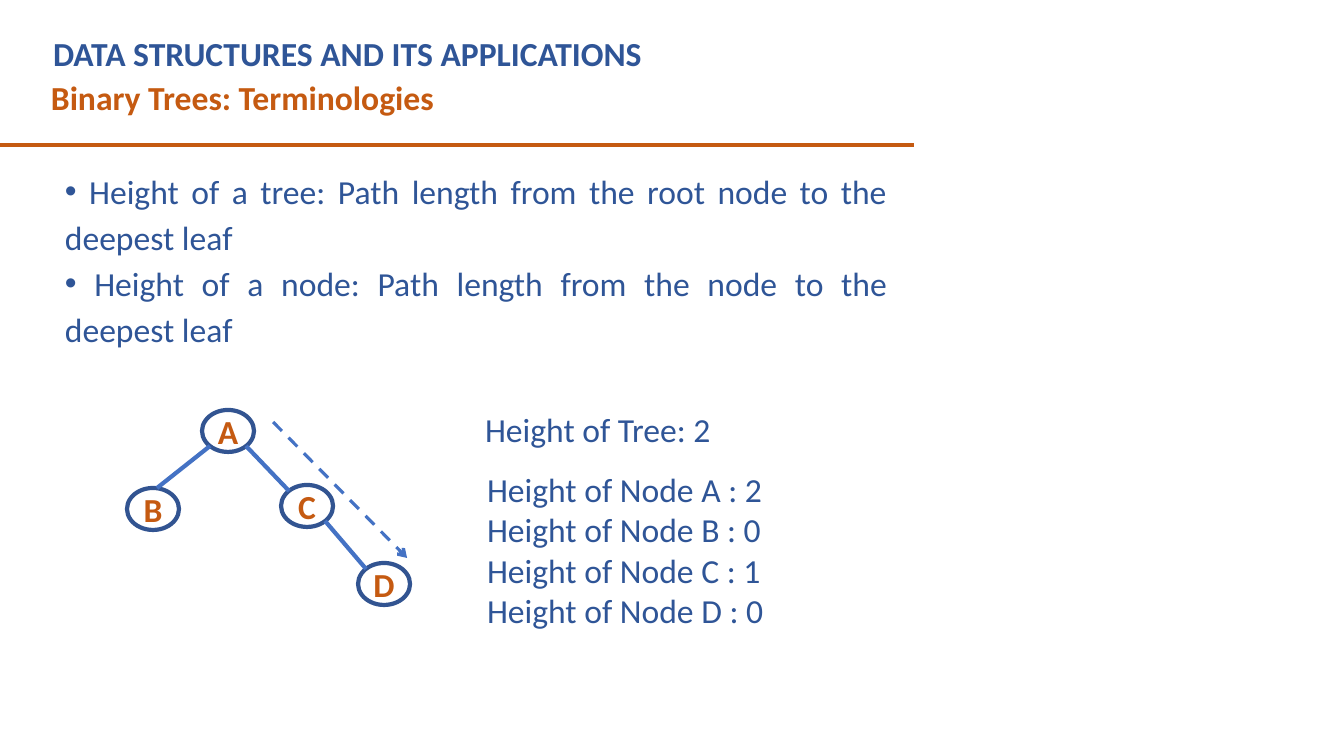
from lxml.etree import SubElement
from pptx import Presentation
from pptx.dml.color import RGBColor
from pptx.enum.dml import MSO_LINE
from pptx.enum.shapes import MSO_CONNECTOR, MSO_SHAPE
from pptx.enum.text import MSO_ANCHOR, MSO_AUTO_SIZE, PP_ALIGN
from pptx.oxml.ns import qn
from pptx.util import Inches, Pt

NAVY, ORANGE, BLUE, OUTLINE = "2F5597", "C55A11", "4472C4", "325491"
WHITE = "FFFFFF"

TITLE = "DATA STRUCTURES AND ITS APPLICATIONS"
SUBTITLE = "Binary Trees: Terminologies"
DEFINITIONS = [
    " Height of a tree: Path length from the root node to the deepest leaf",
    " Height of a node: Path length from the node to the deepest leaf",
]
TREE_HEIGHT = ["Height of Tree: 2"]
NODE_HEIGHTS = [f"Height of Node {name} : {height}"
                for name, height in zip("ABCD", (2, 0, 1, 0))]

# Node centres, and edges as parent, child, offset from each centre (px)
NODE_W, NODE_H = 52, 42
NODES = {"A": (228, 431), "B": (153, 509), "C": (307, 506), "D": (384, 584)}
EDGES = [
    ("A", "C", (18, 15), (-18, -15)),
    ("A", "B", (-18, 15), (4, -21)),
    ("C", "D", (18, 15), (-18, -15)),
]


def px(n):
    return round(n * 914400 / 100.8)


def rgb(color):
    return RGBColor.from_string(color)


def write(tf, lines, color, bold=False, align=PP_ALIGN.LEFT):
    tf.text = "\n".join(lines)
    for p in tf.paragraphs:
        p.alignment = align
        for r in p.runs:
            r.font.name, r.font.size, r.font.bold = "Calibri", Pt(24), bold
            r.font.color.rgb = rgb(color)


def add_text(x, y, w, h, lines, color, **style):
    tf = slide.shapes.add_textbox(px(x), px(y), px(w), px(h)).text_frame
    tf.word_wrap = True
    write(tf, lines, color, **style)
    return tf


def add_line(start, end, color, width):
    s = slide.shapes.add_connector(
        MSO_CONNECTOR.STRAIGHT, *(px(n) for n in (*start, *end)))
    s.line.color.rgb, s.line.width = rgb(color), Pt(width)
    SubElement(s._element.spPr, qn("a:effectLst"))
    return s


def add_node(name, cx, cy):
    s = slide.shapes.add_shape(MSO_SHAPE.OVAL, px(cx - NODE_W / 2),
                               px(cy - NODE_H / 2), px(NODE_W), px(NODE_H))
    s.shadow.inherit = False
    s.fill.solid()
    s.fill.fore_color.rgb = rgb(WHITE)
    s.line.color.rgb, s.line.width = rgb(OUTLINE), Pt(3)
    tf = s.text_frame
    tf.word_wrap = False
    tf.vertical_anchor = MSO_ANCHOR.MIDDLE
    write(tf, [name], ORANGE, bold=True, align=PP_ALIGN.CENTER)


def shift(point, offset):
    return point[0] + offset[0], point[1] + offset[1]


prs = Presentation()
prs.slide_width, prs.slide_height = Inches(13.33), Inches(7.5)
slide = prs.slides.add_slide(prs.slide_layouts[5])

title = slide.shapes.title
title.left, title.top, title.width, title.height = map(px, (43, 28, 827, 50))
tf = title.text_frame
tf.auto_size = MSO_AUTO_SIZE.NONE
tf.vertical_anchor = MSO_ANCHOR.TOP
write(tf, [TITLE], NAVY, bold=True)

add_text(41, 72, 882, 50, [SUBTITLE], ORANGE, bold=True)
add_line((0, 145), (914, 145), ORANGE, 3)

tf = add_text(55, 165, 842, 190, DEFINITIONS, NAVY, align=PP_ALIGN.JUSTIFY)
tf.margin_top = tf.margin_bottom = 0
for p in tf.paragraphs:
    pPr = p._p.get_or_add_pPr()
    SubElement(pPr, qn("a:buFont"), typeface="Arial")
    SubElement(pPr, qn("a:buChar"), char="•")
    p.line_spacing = 1.14

for name, centre in NODES.items():
    add_node(name, *centre)
for parent, child, leave, arrive in EDGES:
    add_line(shift(NODES[parent], leave), shift(NODES[child], arrive), BLUE, 3)

longest_path = add_line((273, 422), (407, 558), BLUE, 2.25)
longest_path.line.dash_style = MSO_LINE.DASH
SubElement(longest_path.line._get_or_add_ln(), qn("a:tailEnd"), type="arrow")

add_text(475, 404, 293, 50, TREE_HEIGHT, NAVY)
add_text(477, 464, 339, 173, NODE_HEIGHTS, NAVY)

prs.save("out.pptx")
